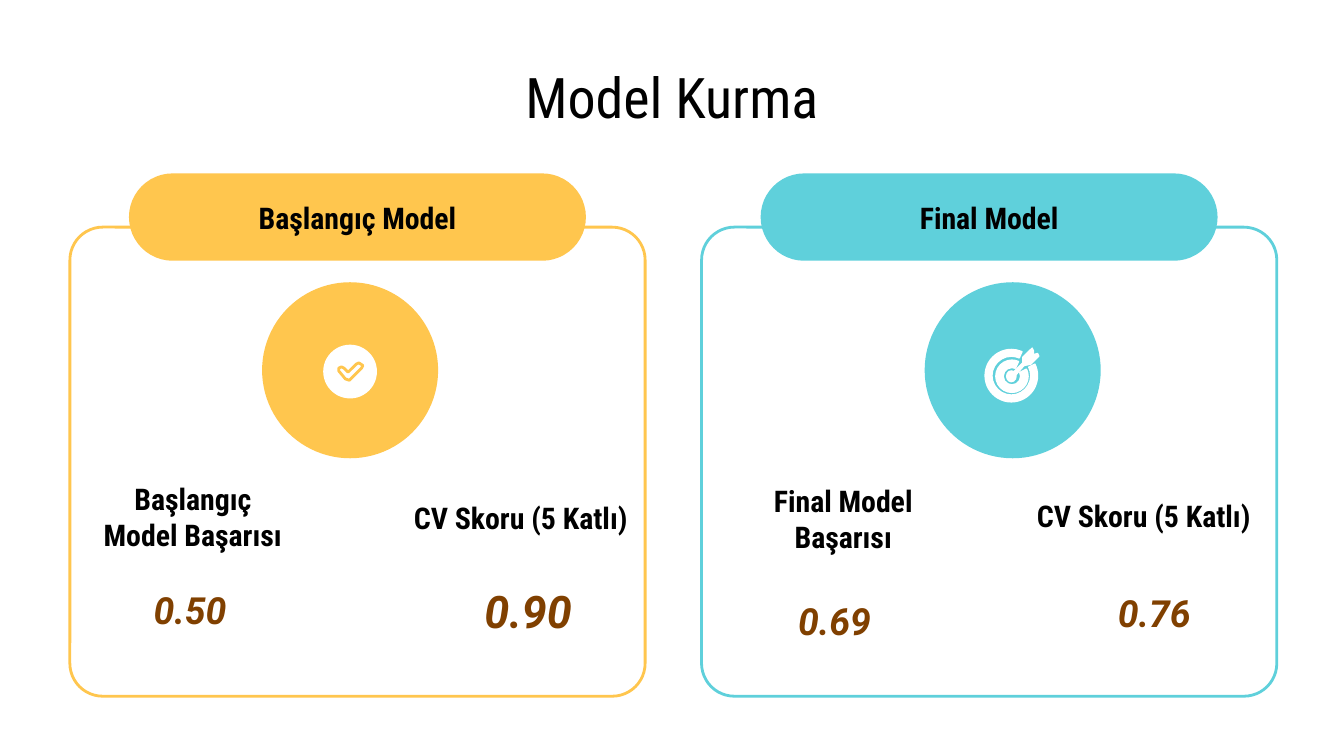
import pptx
import pptx.util
import pptx.dml.color
import pptx.enum.shapes
import pptx.enum.text

PX = 4572  # EMU in one px: 200 px to the inch
RGB = pptx.dml.color.RGBColor
KIND = pptx.enum.shapes.MSO_SHAPE
WHITE = RGB(0xFF, 0xFF, 0xFF)
BLACK = RGB(0, 0, 0)
GOLD = RGB(0xFF, 0xC6, 0x4E)
TEAL = RGB(0x5F, 0xD0, 0xDB)
BROWN = RGB(0x80, 0x40, 0)
HEAD = "Roboto Condensed"
BODY = "Roboto"

TICK = [(534, 540), (540, 544), (538, 548), (520, 566), (514, 564), (504, 552),
        (504, 548), (508, 546), (512, 548), (518, 554), (530, 542)]
DART = [(1536, 518), (1524, 530), (1522, 532), (1522, 540), (1506, 556),
        (1510, 560), (1524, 544), (1534, 542), (1546, 530), (1544, 526),
        (1538, 528), (1538, 522)]


def put(frame, text, font=HEAD, size=16, color=BLACK, bold=True,
        italic=False, space=1.0, side=40, edge=0):
    """Write one centred paragraph; side and edge are the insets in px."""
    frame.word_wrap = True
    frame.auto_size = pptx.enum.text.MSO_AUTO_SIZE.NONE
    frame.vertical_anchor = pptx.enum.text.MSO_ANCHOR.MIDDLE
    frame.margin_left = frame.margin_right = side * PX
    frame.margin_top = frame.margin_bottom = edge * PX
    para = frame.paragraphs[0]
    para.alignment = pptx.enum.text.PP_ALIGN.CENTER
    para.line_spacing = space
    run = para.add_run()
    run.text = text
    run.font.name = font
    run.font.size = pptx.util.Pt(size)
    run.font.bold = bold
    run.font.italic = italic
    run.font.color.rgb = color


class Deck:
    """Holds the file, the current slide and its style."""

    def __init__(self, wide, high):
        self.file = pptx.Presentation()
        self.file.slide_width = wide * PX
        self.file.slide_height = high * PX
        self.slide = self.file.slides.add_slide(self.file.slide_layouts[5])
        self.shapes = self.slide.shapes

    def title(self, text, *box):
        item = self.shapes.title
        item.left, item.top, item.width, item.height = [n * PX for n in box]
        put(item.text_frame, text, size=30, bold=False, side=20, edge=20)

    def paint(self, item, fill, line=None, width=0.75):
        item.shadow.inherit = False
        item.fill.solid()
        item.fill.fore_color.rgb = fill
        if line is None:
            item.line.fill.background()
        else:
            item.line.color.rgb = line
            item.line.width = pptx.util.Pt(width)

    def shape(self, kind, box, fill, line=None, width=0.75, adjust=()):
        item = self.shapes.add_shape(kind, *[n * PX for n in box])
        for i, value in enumerate(adjust):
            item.adjustments[i] = value
        self.paint(item, fill, line, width)

    def outline(self, points, fill, line, width=0.75):
        pen = self.shapes.build_freeform(*points[0], scale=PX)
        pen.add_line_segments(points[1:], close=True)
        self.paint(pen.convert_to_shape(), fill, line, width)

    def text(self, text, box, **style):
        item = self.shapes.add_textbox(*[n * PX for n in box])
        put(item.text_frame, text, **style)

    def label(self, text, left, top, width):
        self.text(text, (left, top, width, 72))

    def score(self, text, left, top, size=20):
        self.text(text, (left, top, 392, 164), font=BODY, size=size,
                  color=BROWN, italic=True, space=1.15)

    def card(self, name, left, color, disc):
        """Draw a framed card with its name pill and the disc for an icon."""
        self.shape(KIND.ROUNDED_RECTANGLE, (left, 338, 856, 698), WHITE,
                   color, 1.5, [0.07])
        self.shape(KIND.ROUNDED_RECTANGLE, (left + 88, 258, 680, 130), color,
                   adjust=[0.5])
        self.label(name, left + 180, 288, 496)
        self.shape(KIND.OVAL, (disc, 420, 262, 262), color)

    def check(self):
        self.shape(KIND.OVAL, (481, 513, 80, 80), WHITE)
        self.outline(TICK, WHITE, GOLD, 1.5)

    def target(self):
        # Both rings leave the same gap, from 294 to 334 degrees, for the dart.
        for left, top, size, thick in ((1466, 520, 78, 0.13),
                                       (1482, 536, 48, 0.23)):
            self.shape(KIND.BLOCK_ARC, (left, top, size, size), WHITE, WHITE,
                       adjust=[334 * 0.6, 294 * 0.6, thick])
        self.shape(KIND.OVAL, (1498, 552, 14, 16), WHITE, WHITE)
        self.outline(DART, WHITE, WHITE)


def main():
    deck = Deck(2000, 1125)
    deck.title("Model Kurma", 100, 90, 1800, 106)

    deck.card("Başlangıç Model", 104, GOLD, 390)
    deck.check()
    deck.label("Başlangıç Model Başarısı", 104, 733, 366)
    deck.score("0.50", 87, 820)
    deck.label("CV Skoru (5 Katlı)", 561, 734, 428)
    deck.score("0.90", 590, 821, size=24)

    deck.card("Final Model", 1044, TEAL, 1376)
    deck.target()
    deck.label("Final Model Başarısı", 1072, 736, 366)
    deck.score("0.69", 1046, 836)
    deck.label("CV Skoru (5 Katlı)", 1488, 732, 428)
    deck.score("0.76", 1522, 825)

    deck.file.save("out.pptx")


if __name__ == "__main__":
    main()
